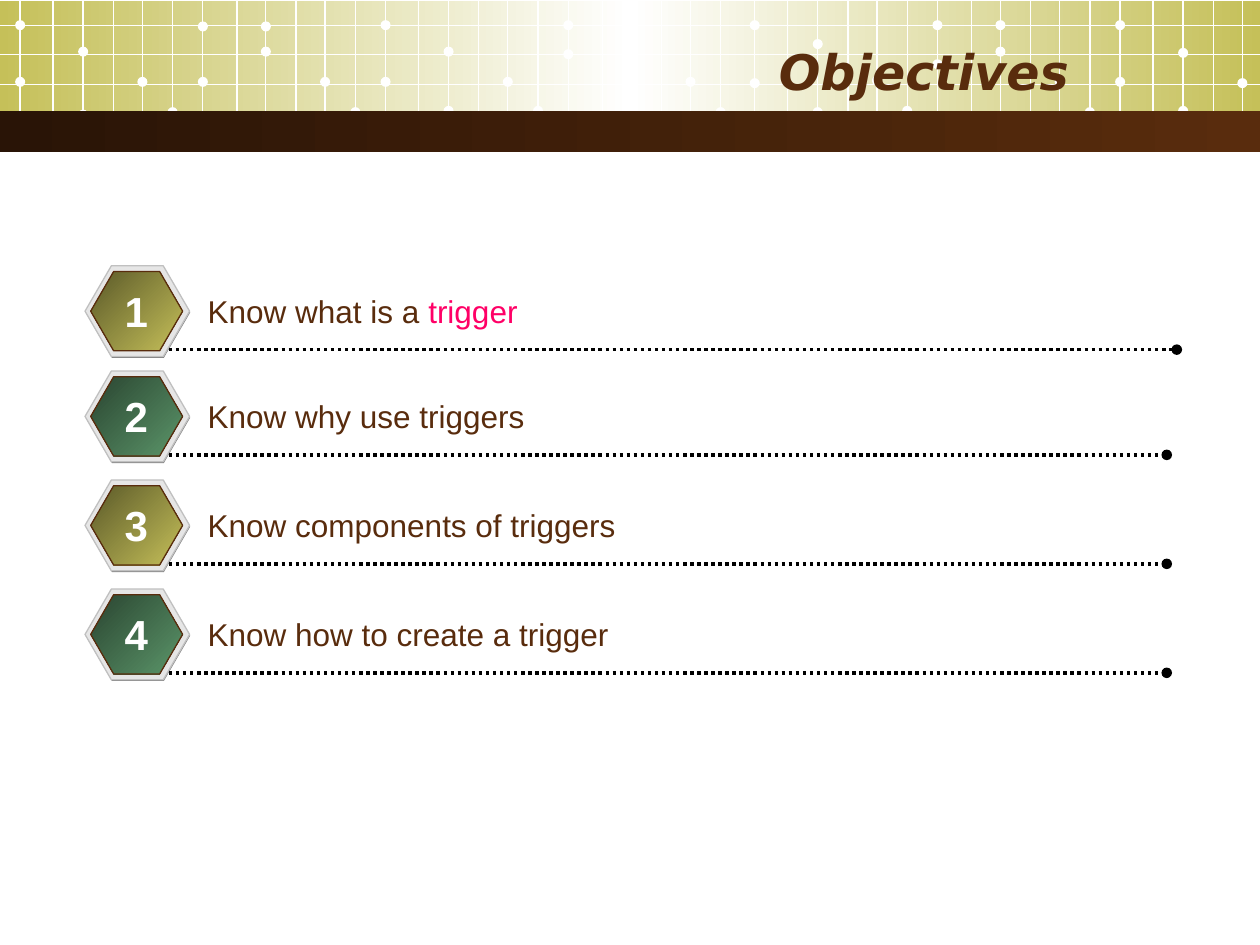
from lxml.etree import SubElement
from pptx import Presentation
from pptx.dml.color import RGBColor
from pptx.enum.dml import MSO_LINE
from pptx.enum.shapes import MSO_CONNECTOR, MSO_SHAPE
from pptx.enum.text import MSO_ANCHOR, PP_ALIGN
from pptx.oxml.ns import qn
from pptx.util import Inches, Pt

COLORS = {
    "white": "FFFFFF", "black": "000000", "brown": "592C0D", "dark brown": "291406",
    "olive": "C5C059", "dark olive": "5B5929", "green": "5B9569", "dark green": "2A4531",
    "pink": "FF0066", "gray": "808080", "light gray": "E6E6E6", "silver": "C0C0C0",
}
COLUMNS, ROWS = 100, 75


def rgb(name):
    return RGBColor.from_string(COLORS[name])


def write_text(frame, runs, size, font="Arial", bold=False, italic=False,
               align=PP_ALIGN.LEFT, wrap=True):
    frame.word_wrap = wrap
    frame.vertical_anchor = MSO_ANCHOR.MIDDLE
    paragraph = frame.paragraphs[0]
    paragraph.alignment = align
    for text, color in runs:
        run = paragraph.add_run()
        run.text = text
        run.font.size = Pt(size)
        run.font.name = font
        run.font.bold = bold
        run.font.italic = italic
        run.font.color.rgb = rgb(color)


class SlideBuilder:
    thin = 0.74

    def __init__(self, presentation):
        self.slide = presentation.slides.add_slide(presentation.slide_layouts[6])
        self.column = presentation.slide_width / COLUMNS
        self.row = presentation.slide_height / ROWS

    def place(self, left, top, width, height):
        return (round(left * self.column), round(top * self.row),
                round(width * self.column), round(height * self.row))

    def shape(self, kind, box, colors, angle=0, outline=None):
        shape = self.slide.shapes.add_shape(kind, *self.place(*box))
        shape.shadow.inherit = False
        if len(colors) == 1:
            shape.fill.solid()
            shape.fill.fore_color.rgb = rgb(colors[0])
        else:
            self.gradient(shape, colors, angle)
        if outline:
            shape.line.color.rgb = rgb(outline)
            shape.line.width = Pt(self.thin)
        else:
            shape.line.fill.background()
        return shape

    def gradient(self, shape, colors, angle):
        shape.fill.gradient()
        shape.fill.gradient_angle = -angle % 360
        stops = next(shape._element.iter(qn("a:gsLst")))
        for stop in list(stops):
            stops.remove(stop)
        for index, color in enumerate(colors):
            position = 100000 * index // (len(colors) - 1)
            stop = SubElement(stops, qn("a:gs"), pos=str(position))
            SubElement(stop, qn("a:srgbClr"), val=COLORS[color])

    def hexagon(self, box, colors, outline=None):
        shape = self.shape(MSO_SHAPE.HEXAGON, box, colors, 45, outline)
        shape.adjustments[0] = 0.29

    def line(self, start, end, color, width, dotted=False):
        ends = self.place(*start, *end)
        connector = self.slide.shapes.add_connector(MSO_CONNECTOR.STRAIGHT, *ends)
        connector.line.color.rgb = rgb(color)
        connector.line.width = Pt(width)
        if dotted:
            connector.line.dash_style = MSO_LINE.ROUND_DOT
            SubElement(connector.line._get_or_add_ln(), qn("a:tailEnd"), type="oval")
        SubElement(connector._element.spPr, qn("a:effectLst"))

    def text(self, box, runs, size, **style):
        text_box = self.slide.shapes.add_textbox(*self.place(*box))
        write_text(text_box.text_frame, runs, size, **style)

    def header(self):
        self.shape(MSO_SHAPE.RECTANGLE, (0, 0.1, 100, 10.2), ["olive", "white", "olive"])
        dot = 0.8
        for start, heights in TILES.items():
            for offset in TILE_LINES:
                if start + offset < COLUMNS:
                    self.line((start + offset, 0), (start + offset, 11), "white", self.thin)
            for index, height in zip(DOT_LINES, heights):
                center = start + TILE_LINES[index]
                box = (center - dot / 2, height - dot / 2, dot, dot)
                self.shape(MSO_SHAPE.OVAL, box, ["white"])
        for height in (2, 4.3, 6.7, 8.9):
            self.line((0, height), (COLUMNS, height), "white", self.thin)
        self.shape(MSO_SHAPE.RECTANGLE, (0, 8.8, 100, 3.3), ["dark brown", "brown"])
        self.text((5, 2.5, 80.8, 6.2), [("Objectives", "brown")], 28, font="DejaVu Sans",
                  bold=True, italic=True, align=PP_ALIGN.RIGHT)

    def objective(self, number, top, line_end, runs):
        shades = ["dark olive", "olive"] if number % 2 else ["dark green", "green"]
        self.hexagon((6.8, top + 0.1, 8.3, 7.2), ["gray"])
        self.hexagon((6.75, top, 8.3, 7.2), ["light gray"], "silver")
        self.hexagon((7.2, top + 0.45, 7.3, 6.3), shades, "brown")
        self.line((13.4, top + 6.65), (line_end, top + 6.65), "black", 2, dotted=True)
        self.text((15.5, top + 1.6, 77.8, 4), runs, 18)
        self.text((8.9, top + 1.05, 3.8, 5), [(str(number), "white")], 24,
                  bold=True, align=PP_ALIGN.CENTER, wrap=False)


TILE_LINES = (0, 2.6, 5, 7.4, 9.7, 12.1, 14.5, 17.2, 19.5, 21.9, 24.2, 26.6)
DOT_LINES = (0, 0, 2, 2, 4, 5, 6, 6, 8, 8, 10, 11)
TILES = {
    1.6: (6.5, 2, 4.1, 9.1, 6.5, 8.9, 6.5, 2.1, 4.1, 2.1, 6.5, 8.9),
    30.6: (6.5, 2, 4.1, 8.8, 6.5, 8.8, 4.3, 2, 4.2, 2, 6.5, 8.9),
    59.9: (6.6, 2, 3.5, 8.9, 6.4, 8.8, 5.1, 2, 4.1, 2, 6.5, 8.9),
    88.9: (6.5, 2, 4.2, 8.8, 6.6),
}
OBJECTIVES = (
    (21.1, 93.4, [("Know what is a ", "brown"), ("trigger", "pink")]),
    (29.45, 92.6, [("Know why use triggers", "brown")]),
    (38.1, 92.6, [("Know components of triggers", "brown")]),
    (46.75, 92.6, [("Know how to create a trigger", "brown")]),
)

presentation = Presentation()
presentation.slide_width = Inches(10)
presentation.slide_height = Inches(7.5)
builder = SlideBuilder(presentation)
builder.header()
for number, objective in enumerate(OBJECTIVES, 1):
    builder.objective(number, *objective)
presentation.save("out.pptx")
